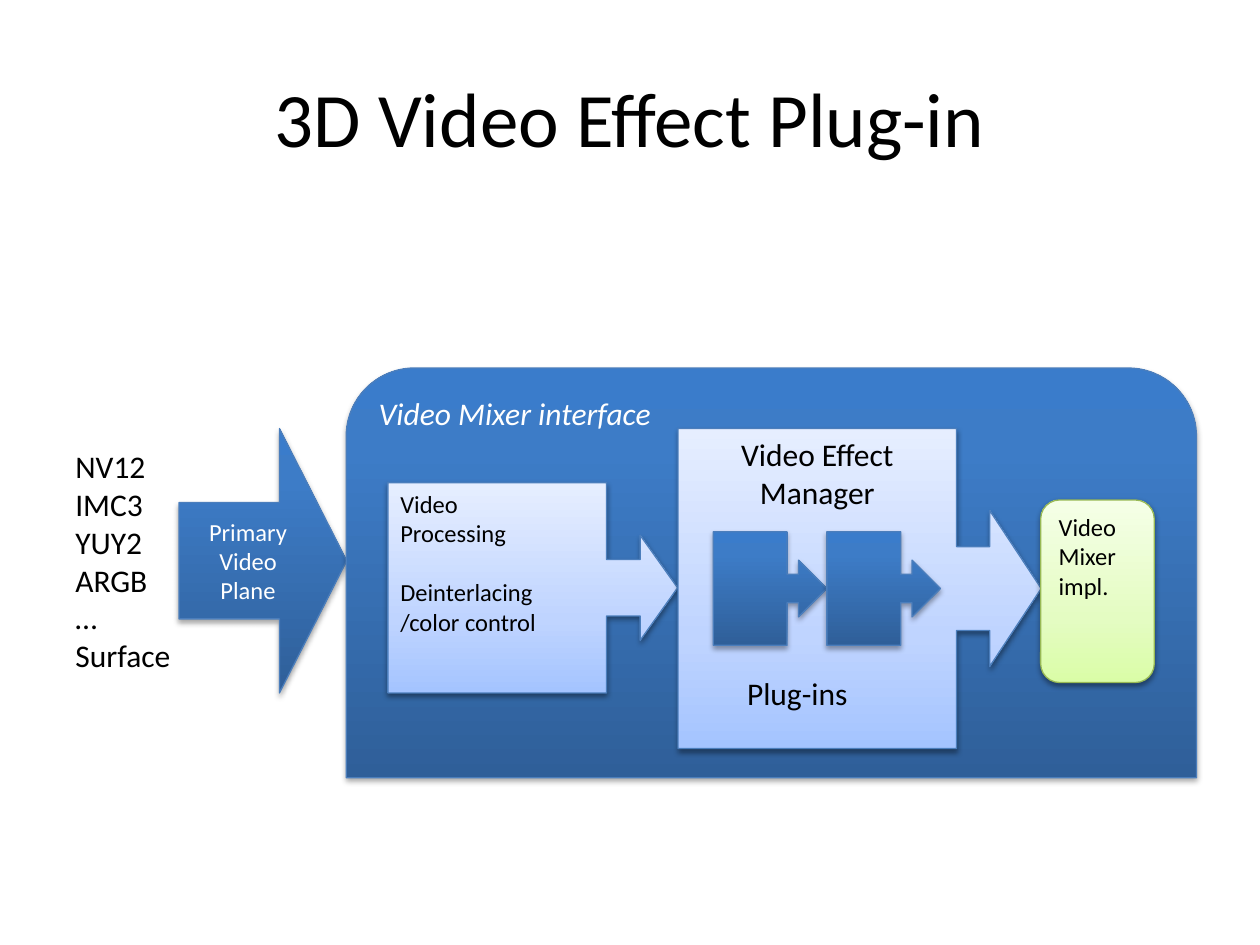
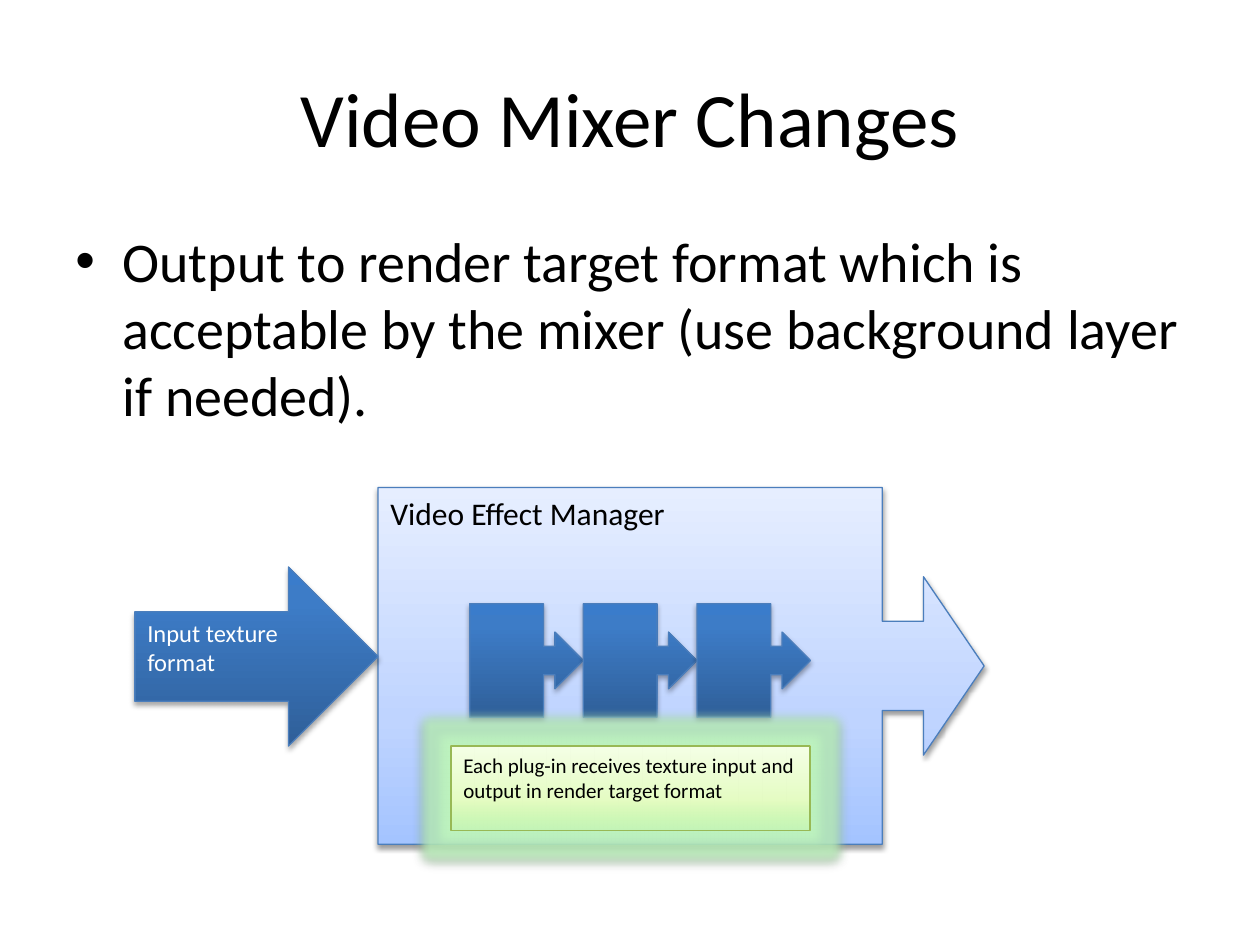
from lxml import etree
from pptx import Presentation
from pptx.dml.color import RGBColor
from pptx.enum.shapes import MSO_SHAPE
from pptx.enum.text import MSO_ANCHOR, MSO_AUTO_SIZE, PP_ALIGN
from pptx.oxml.ns import qn
from pptx.util import Cm, Pt

ARROW = MSO_SHAPE.RIGHT_ARROW
CALLOUT = MSO_SHAPE.RIGHT_ARROW_CALLOUT
PANEL = MSO_SHAPE.ROUND_2_SAME_RECTANGLE
ROUND = MSO_SHAPE.ROUNDED_RECTANGLE
RECT = MSO_SHAPE.RECTANGLE
TOP, MIDDLE = MSO_ANCHOR.TOP, MSO_ANCHOR.MIDDLE
LEFT, CENTER = PP_ALIGN.LEFT, PP_ALIGN.CENTER
FIT = MSO_AUTO_SIZE.SHAPE_TO_FIT_TEXT

COLORS = {"black": "000000", "white": "FFFFFF", "blue": "4B7EBC",
          "green": "98B955", "glow": "C0F7C0"}
FADES = {
    "deep": [(0, "2F5F99"), (80, "3D7CC7"), (100, "3A7CCB")],
    "pale": [(0, "A4C4FF"), (35, "BFD4FF"), (100, "E6EEFF")],
    "lime": [(0, "DAFDA7"), (35, "E4FCC2"), (100, "F5FFE7")],
}
SHADOWS = {"deep": (35, 1.8), "pale": (38, 1.6), "lime": (38, 1.6)}
PLUG = 2.29


def add(parent, tag, **attrs):
    return etree.SubElement(parent, qn(tag), {k: str(v) for k, v in attrs.items()})


def tint(parent, color, alpha=100):
    node = add(parent, "a:srgbClr", val=color)
    if alpha < 100:
        add(node, "a:alpha", val=alpha * 1000)


def write(frame, text, size=18, color="black", align=LEFT, anchor=TOP,
          italic=False, wrap=True, before=(), bullet=False):
    frame.word_wrap = wrap
    frame.vertical_anchor = anchor
    if not wrap:
        frame.auto_size = FIT
    for i, line in enumerate(text.split("\n")):
        para = frame.paragraphs[0] if i == 0 else frame.add_paragraph()
        para.alignment = align
        if i in before:
            para.space_before = Pt(before[i])
        run = para.add_run()
        run.text = line
        font = run.font
        font.name, font.size, font.italic = "Calibri", Pt(size), italic
        font.color.rgb = RGBColor.from_string(COLORS[color])
        if bullet:
            props = para._p.get_or_add_pPr()
            props.set("marL", str(Cm(0.95)))
            props.set("indent", str(-Cm(0.95)))
            add(props, "a:buFont", typeface="Arial")
            add(props, "a:buChar", char="•")


class Deck:
    def __init__(self):
        self.file = Presentation()
        self.file.slide_width, self.file.slide_height = Cm(25.4), Cm(19.05)

    def page(self, title):
        self.slide = self.file.slides.add_slide(self.file.slide_layouts[6])
        self.label(title, 1.27, 0.76, 22.86, 3.18, size=44, align=CENTER, anchor=MIDDLE)

    def label(self, text, x, y, w, h, **style):
        box = self.slide.shapes.add_textbox(Cm(x), Cm(y), Cm(w), Cm(h))
        write(box.text_frame, text, **style)

    def block(self, kind, x, y, w, h, fade="deep", text="", adjust=(),
              alpha=100, glow=0, **style):
        shape = self.slide.shapes.add_shape(kind, Cm(x), Cm(y), Cm(w), Cm(h))
        for i, value in enumerate(adjust):
            shape.adjustments[i] = value
        shape.fill.gradient()
        shape.fill.gradient_angle = 90
        stops = shape._element.spPr.find(".//" + qn("a:gsLst"))
        for stop in list(stops):
            stops.remove(stop)
        for spot, color in FADES[fade]:
            tint(add(stops, "a:gs", pos=spot * 1000), color, 100 if spot else alpha)
        edge = "green" if fade == "lime" else "blue"
        shape.line.color.rgb = RGBColor.from_string(COLORS[edge])
        shape.line.width = Pt(0.75)
        shape.shadow.inherit = False
        effects = shape._element.spPr.find(qn("a:effectLst"))
        if glow:
            tint(add(effects, "a:glow", rad=Pt(glow)), COLORS["glow"], 80)
        depth, drop = SHADOWS[fade]
        shade = add(effects, "a:outerShdw", blurRad=Pt(3.1), dist=Pt(drop),
                    dir=5400000, rotWithShape=0)
        tint(shade, COLORS["black"], depth)
        if text:
            write(shape.text_frame, text, **style)

    def plugs(self, count, x, y):
        for i in range(count):
            self.block(CALLOUT, x + i * PLUG, y, PLUG, PLUG)


deck = Deck()

deck.page("3D Video Effect Plug-in")
deck.block(ARROW, 3.61, 8.64, 3.38, 5.33, text="Primary Video Plane", size=14,
           color="white", align=CENTER, anchor=MIDDLE, adjust=(0.44, 0.401))
deck.block(PANEL, 6.98, 7.42, 17.14, 8.26, text="Video Mixer interface",
           color="white", italic=True)
deck.label("NV12\nIMC3\nYUY2\nARGB\n…\nSurface", 1.27, 8.89, 2.44, 4.88, wrap=False)
deck.block(CALLOUT, 7.82, 9.73, 5.84, 4.24, "pale",
           "Video\nProcessing\nDeinterlacing /color control", size=14,
           before={2: 17}, adjust=(0.268, 0.25, 0.178, 0.755))
deck.block(CALLOUT, 13.67, 8.64, 7.32, 6.45, "pale", "Video Effect Manager",
           align=CENTER, adjust=(0.262, 0.244, 0.161, 0.767))
deck.plugs(2, 14.38, 10.72)
deck.block(ROUND, 20.98, 10.08, PLUG, 3.68, "lime", "Video Mixer impl.", size=14)
deck.label("Plug-ins", 14.81, 13.46, 2.57, 1.02, wrap=False)

deck.page("Video Mixer Changes")
deck.label("Output to render target format which is acceptable by the mixer "
           "(use background layer if needed).", 1.27, 4.44, 22.86, 12.57,
           size=32, bullet=True, before={0: 6.4})
deck.block(CALLOUT, 7.62, 9.83, 12.22, 7.19, "pale", "Video Effect Manager",
           adjust=(0.25, 0.25, 0.17, 0.832))
deck.plugs(3, 9.47, 12.17)
deck.block(ARROW, 2.72, 11.43, 4.9, 3.61, text="Input texture format",
           size=14, color="white")
deck.block(RECT, 9.09, 15.04, 7.24, 1.7, "lime",
           "Each plug-in receives texture input and output in render target format",
           size=12, alpha=22, glow=11)

deck.file.save("out.pptx")
